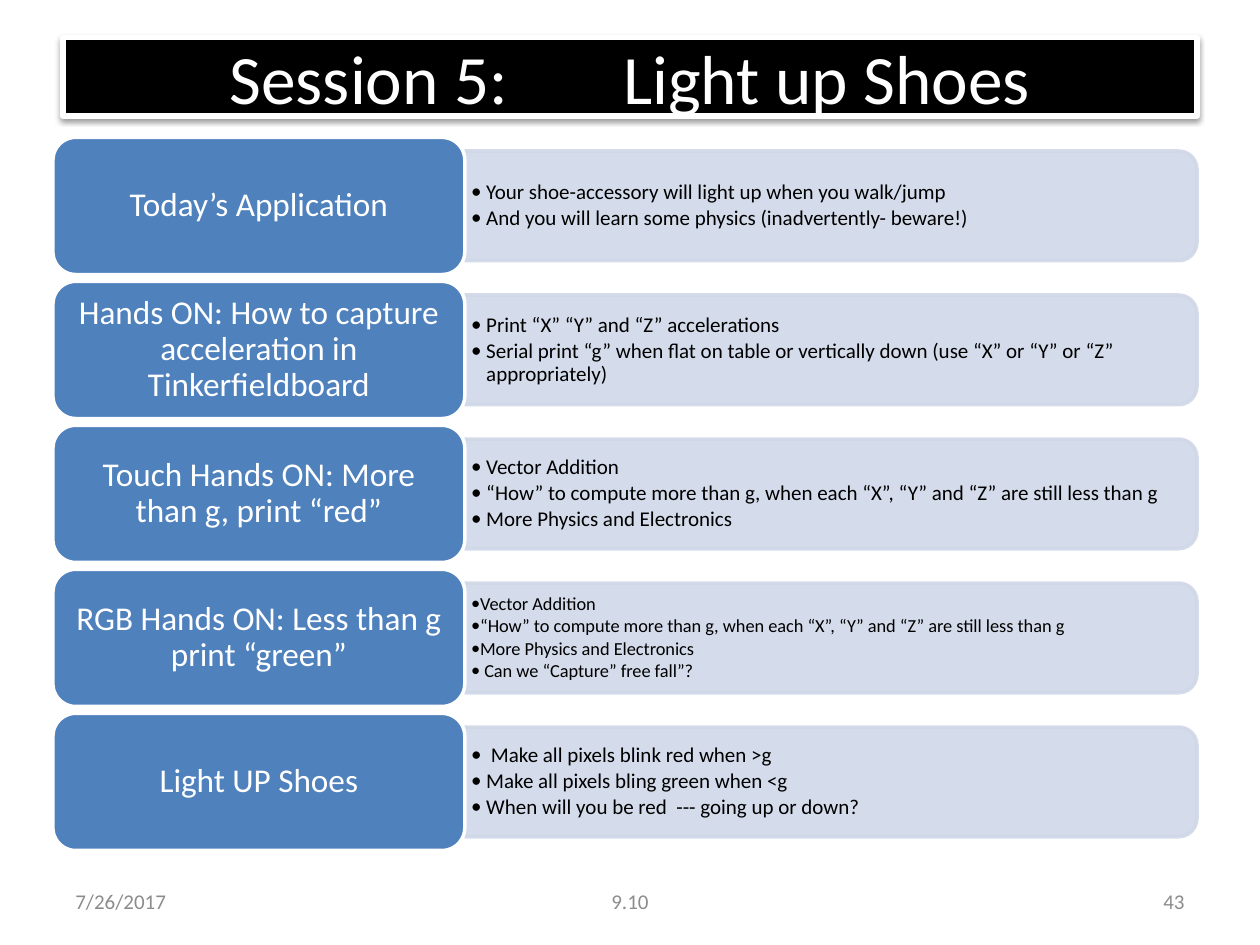
from dataclasses import dataclass

from lxml.etree import SubElement
from pptx import Presentation
from pptx.dml.color import RGBColor
from pptx.enum.shapes import MSO_SHAPE
from pptx.enum.text import MSO_ANCHOR, MSO_AUTO_SIZE, PP_ALIGN
from pptx.oxml.ns import qn
from pptx.util import Inches, Pt


@dataclass(frozen=True)
class Theme:
    font: str = "Calibri"
    black: str = "000000"
    white: str = "FFFFFF"
    label: str = "4F81BD"
    panel: str = "D0D8E8"
    footer: str = "8C8C8C"
    title_size: float = 39.6
    label_size: float = 19
    body_size: float = 12
    dense_size: float = 10.5
    footer_size: float = 12


@dataclass(frozen=True)
class Box:
    left: float
    top: float
    width: float
    height: float

    def lengths(self):
        return [Inches(n) for n in (self.left, self.top, self.width, self.height)]


THEME = Theme()
LABEL_SHARE = 0.36   # label column as a share of the row
PANEL_SHARE = 0.8    # panel height as a share of the row
GAP_SHARE = 0.05     # gap between rows as a share of a row
ROWS = [
    ("Today’s Application", [
        "Your shoe-accessory will light up when you walk/jump",
        "And you will learn some physics (inadvertently- beware!)"]),
    ("Hands ON: How to capture acceleration in Tinkerfieldboard", [
        "Print “X” “Y” and “Z” accelerations",
        "Serial print “g” when flat on table or vertically down "
        "(use “X” or “Y” or “Z” appropriately)"]),
    ("Touch Hands ON: More than g, print “red”", [
        "Vector Addition",
        "“How” to compute more than g, when each “X”, “Y” and “Z” are still less than g",
        "More Physics and Electronics"]),
    ("RGB Hands ON: Less than g print “green”", [
        "Vector Addition",
        "“How” to compute more than g, when each “X”, “Y” and “Z” are still less than g",
        "More Physics and Electronics",
        " Can we “Capture” free fall”?"]),
    ("Light UP Shoes", [
        " Make all pixels blink red when >g",
        "Make all pixels bling green when <g",
        "When will you be red  --- going up or down?"]),
]


def paint(shape, fill, line, width, opacity=None):
    shape.shadow.inherit = False
    shape.fill.solid()
    shape.fill.fore_color.rgb = RGBColor.from_string(fill)
    shape.line.color.rgb = RGBColor.from_string(line)
    shape.line.width = Pt(width)
    if opacity:
        for color in shape._element.spPr.iter(qn("a:srgbClr")):
            SubElement(color, qn("a:alpha"), val=str(opacity * 1000))


def set_frame(shape, inset_x=0.1, inset_y=0.05):
    frame = shape.text_frame
    frame.word_wrap = True
    frame.auto_size = MSO_AUTO_SIZE.NONE
    frame.vertical_anchor = MSO_ANCHOR.MIDDLE
    frame.margin_left = frame.margin_right = Inches(inset_x)
    frame.margin_top = frame.margin_bottom = Inches(inset_y)
    return frame


def write(paragraph, text, size, color, alignment=PP_ALIGN.LEFT):
    paragraph.alignment = alignment
    run = paragraph.add_run()
    run.text = text
    run.font.name = THEME.font
    run.font.size = Pt(size)
    run.font.color.rgb = RGBColor.from_string(color)


def add_bullet(paragraph, indent):
    properties = paragraph._p.get_or_add_pPr()
    properties.set("marL", str(Inches(indent)))
    properties.set("indent", str(-Inches(indent)))
    SubElement(properties, qn("a:buFont"), typeface=THEME.font)
    SubElement(properties, qn("a:buChar"), char="•")


def place_title(slide, box):
    title = slide.shapes.title
    title.left, title.top, title.width, title.height = box.lengths()
    paint(title, THEME.black, THEME.white, 3)
    # Soft shadow straight below the bar
    effects = title._element.spPr.find(qn("a:effectLst"))
    shadow = SubElement(effects, qn("a:outerShdw"), blurRad=str(Pt(3.1)),
                        dist=str(Pt(1.6)), dir="5400000", rotWithShape="0")
    color = SubElement(shadow, qn("a:srgbClr"), val=THEME.black)
    SubElement(color, qn("a:alpha"), val="38000")
    # A tab stop separates the session number from its topic
    paragraph = set_frame(title).paragraphs[0]
    tabs = SubElement(paragraph._p.get_or_add_pPr(), qn("a:tabLst"))
    SubElement(tabs, qn("a:tab"), pos=str(Inches(3)), algn="l")
    write(paragraph, "Session 5:\t Light up Shoes",
          THEME.title_size, THEME.white, PP_ALIGN.CENTER)


def place_panel(slide, box, bullets):
    # A quarter turn brings the rounded top corners to the right side
    turned = Box(box.left + (box.width - box.height) / 2,
                 box.top + (box.height - box.width) / 2, box.height, box.width)
    panel = slide.shapes.add_shape(MSO_SHAPE.ROUND_2_SAME_RECTANGLE, *turned.lengths())
    panel.rotation = 90
    paint(panel, THEME.panel, THEME.panel, 2, opacity=90)

    # Bulleted text, kept clear of the rounded corners
    inset = 0.04
    area = Box(box.left, box.top + inset, box.width - inset, box.height - 2 * inset)
    frame = set_frame(slide.shapes.add_textbox(*area.lengths()), 0.05, 0.03)
    dense = len(bullets) > 3
    size = THEME.dense_size if dense else THEME.body_size
    for index, text in enumerate(bullets):
        paragraph = frame.add_paragraph() if index else frame.paragraphs[0]
        paragraph.level = 1
        paragraph.line_spacing = 0.9
        paragraph.space_after = Pt(size * 0.15)
        add_bullet(paragraph, 0.06 if dense else 0.12)
        write(paragraph, text, size, THEME.black)


def place_label(slide, box, text):
    label = slide.shapes.add_shape(MSO_SHAPE.ROUNDED_RECTANGLE, *box.lengths())
    paint(label, THEME.label, THEME.white, 2)
    paragraph = set_frame(label, 0.13, 0.09).paragraphs[0]
    paragraph.line_spacing = 0.9
    write(paragraph, text, THEME.label_size, THEME.white, PP_ALIGN.CENTER)


def place_agenda(slide, box):
    height = box.height / (len(ROWS) + (len(ROWS) - 1) * GAP_SHARE)
    label_width = box.width * LABEL_SHARE
    for index, (label, bullets) in enumerate(ROWS):
        top = box.top + index * height * (1 + GAP_SHARE)
        place_panel(slide, Box(box.left + label_width, top + height * (1 - PANEL_SHARE) / 2,
                               box.width - label_width, height * PANEL_SHARE), bullets)
        place_label(slide, Box(box.left, top, label_width, height), label)


def place_footer(slide, box):
    side, middle = 2.33, 3.17
    parts = [
        ("7/26/2017", box.left, side, PP_ALIGN.LEFT),
        ("43", box.left + box.width - side, side, PP_ALIGN.RIGHT),
        ("9.10", box.left + (box.width - middle) / 2, middle, PP_ALIGN.CENTER),
    ]
    for text, left, width, alignment in parts:
        area = Box(left, box.top, width, box.height)
        frame = set_frame(slide.shapes.add_textbox(*area.lengths()))
        write(frame.paragraphs[0], text, THEME.footer_size, THEME.footer, alignment)


def main():
    presentation = Presentation()
    presentation.slide_width, presentation.slide_height = Inches(10), Inches(7.5)
    slide = presentation.slides.add_slide(presentation.slide_layouts[5])
    place_agenda(slide, Box(0.42, 1.09, 9.08, 5.66))
    place_title(slide, Box(0.5, 0.3, 9, 0.62))
    place_footer(slide, Box(0.5, 6.95, 9, 0.4))
    presentation.save("out.pptx")


if __name__ == "__main__":
    main()
